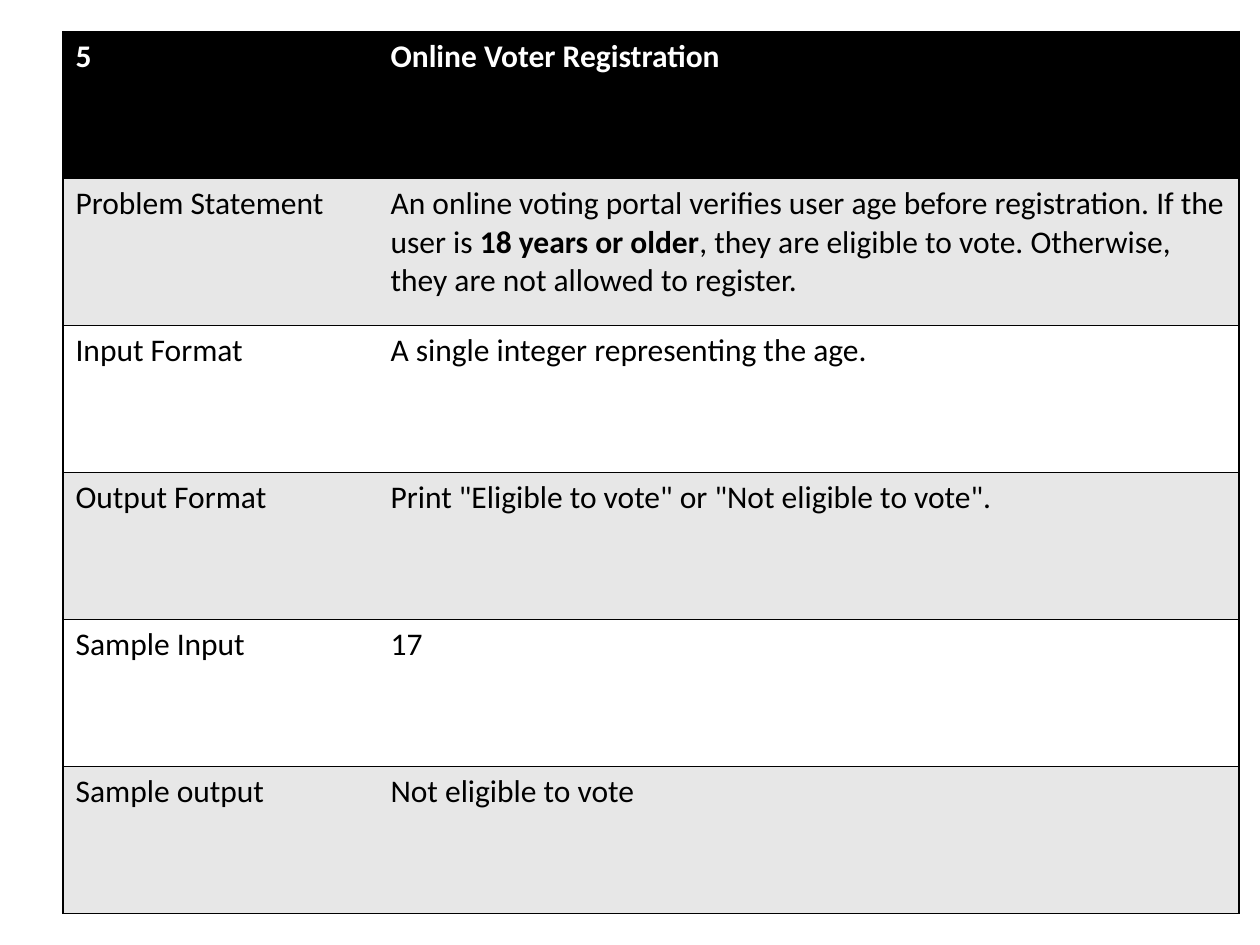
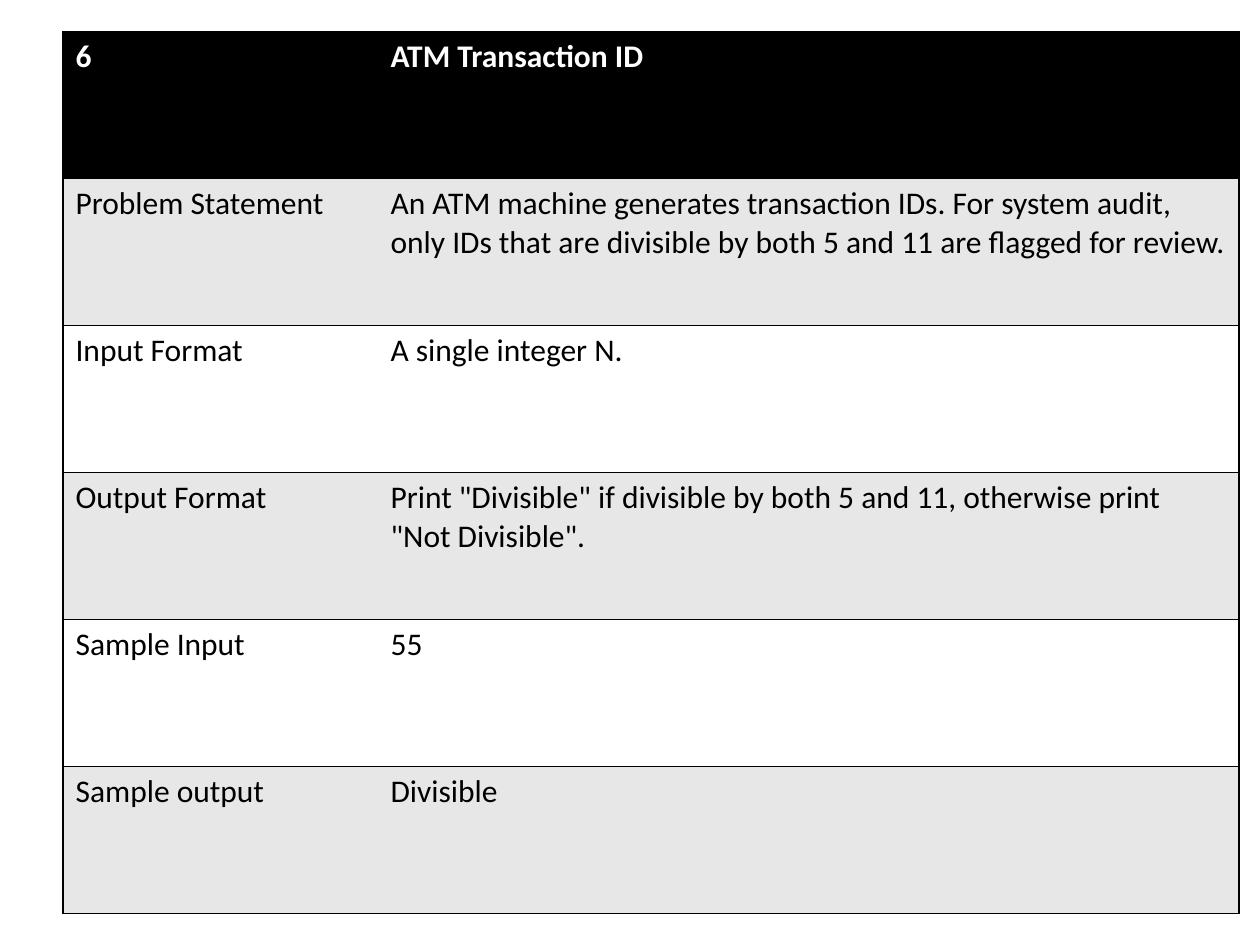
import pptx
import pptx.dml.color
import pptx.oxml
import pptx.oxml.ns
import pptx.util

Pt = pptx.util.Pt
RGB = pptx.dml.color.RGBColor

# Text between ** marks is bold.
LABELS = ["Problem Statement", "Input Format", "Output Format",
          "Sample Input", "Sample output"]
TASKS = [
    ("5", "Online Voter Registration", [
        "An online voting portal verifies user age before registration. "
        "If the user is **18 years or older**, they are eligible to vote. "
        "Otherwise, they are not allowed to register.",
        "A single integer representing the age.",
        'Print "Eligible to vote" or "Not eligible to vote".',
        "17",
        "Not eligible to vote",
    ]),
    ("6", "ATM Transaction ID", [
        "An ATM machine generates transaction IDs. For system audit, only IDs "
        "that are divisible by both 5 and 11 are flagged for review.",
        "A single integer N.",
        'Print "Divisible" if divisible by both 5 and 11, otherwise print '
        '"Not Divisible".',
        "55",
        "Divisible",
    ]),
]

BLACK = RGB(0, 0, 0)
WHITE = RGB(255, 255, 255)
GREY = RGB(0xE7, 0xE7, 0xE7)
FONT = "Calibri"
LEFT, TOP = 36, 18
WIDTHS = [180, 492]
HEIGHT = 84


def write(frame, text, size=18, color=BLACK, bold=False):
    para = frame.paragraphs[0]
    for i, part in enumerate(text.split("**")):
        run = para.add_run()
        run.text = part
        font = run.font
        font.name, font.size = FONT, Pt(size)
        font.bold = bold or i % 2 == 1
        font.color.rgb = color


def edge(cell, sides):
    """Rule the given sides of a cell and clear the others."""
    props = cell._tc.get_or_add_tcPr()
    space = pptx.oxml.ns.nsdecls("a")
    for side in "LRTB":
        if side in sides:
            fill = f'<a:solidFill><a:srgbClr val="{BLACK}"/></a:solidFill>'
        else:
            fill = "<a:noFill/>"
        props.append(pptx.oxml.parse_xml(
            f'<a:ln{side} {space} w="{Pt(1)}">{fill}</a:ln{side}>'))


def draw(slide, rows):
    table = slide.shapes.add_table(
        len(rows), len(WIDTHS), Pt(LEFT), Pt(TOP),
        Pt(sum(WIDTHS)), Pt(HEIGHT * len(rows))).table
    for col, width in zip(table.columns, WIDTHS):
        col.width = Pt(width)
    for r, row in enumerate(rows):
        head = r == 0
        shade = BLACK if head else (GREY if r % 2 else WHITE)
        for c, text in enumerate(row):
            cell = table.cell(r, c)
            edge(cell, "LTB" if c == 0 else "RTB")
            cell.fill.solid()
            cell.fill.fore_color.rgb = shade
            write(cell.text_frame, text, bold=head,
                  color=WHITE if head else BLACK)


def main():
    deck = pptx.Presentation()
    deck.slide_width, deck.slide_height = Pt(720), Pt(540)
    for number, title, facts in TASKS:
        slide = deck.slides.add_slide(deck.slide_layouts[6])
        draw(slide, [(number, title), *zip(LABELS, facts)])
    deck.save("out.pptx")


if __name__ == "__main__":
    main()
